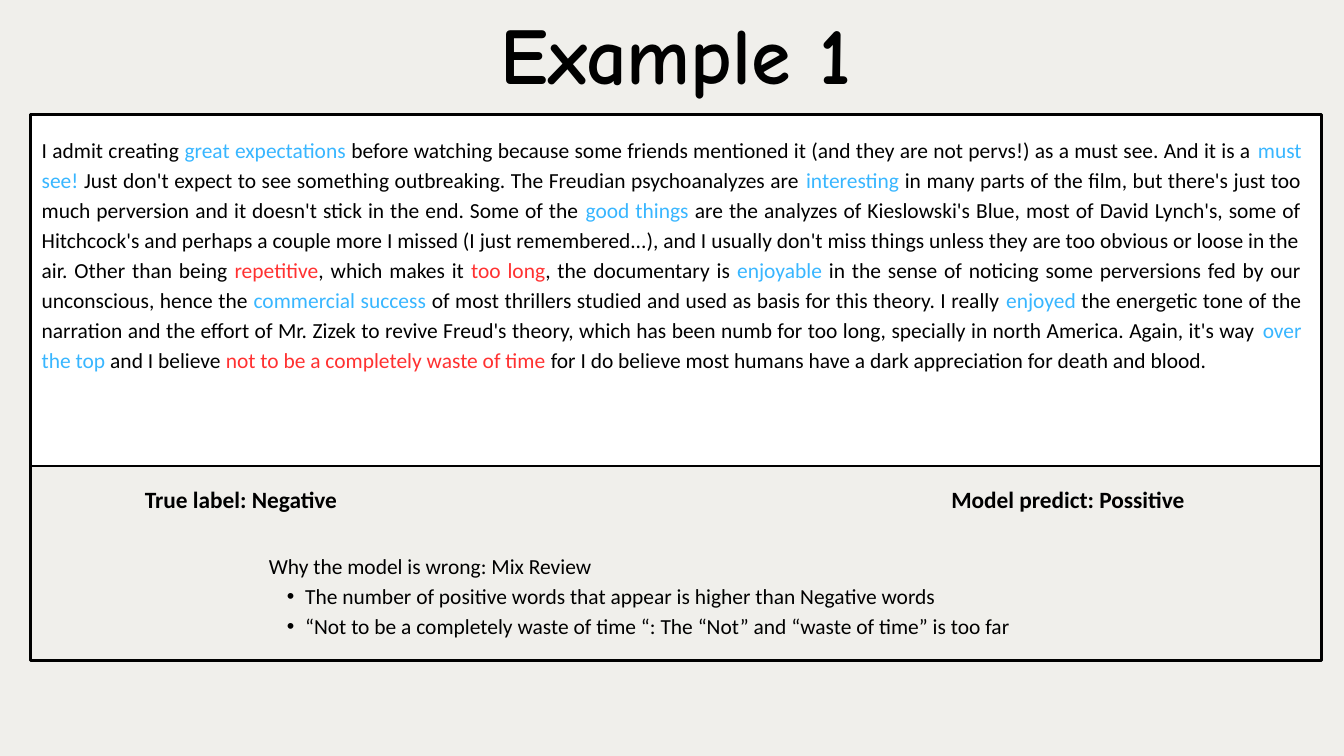
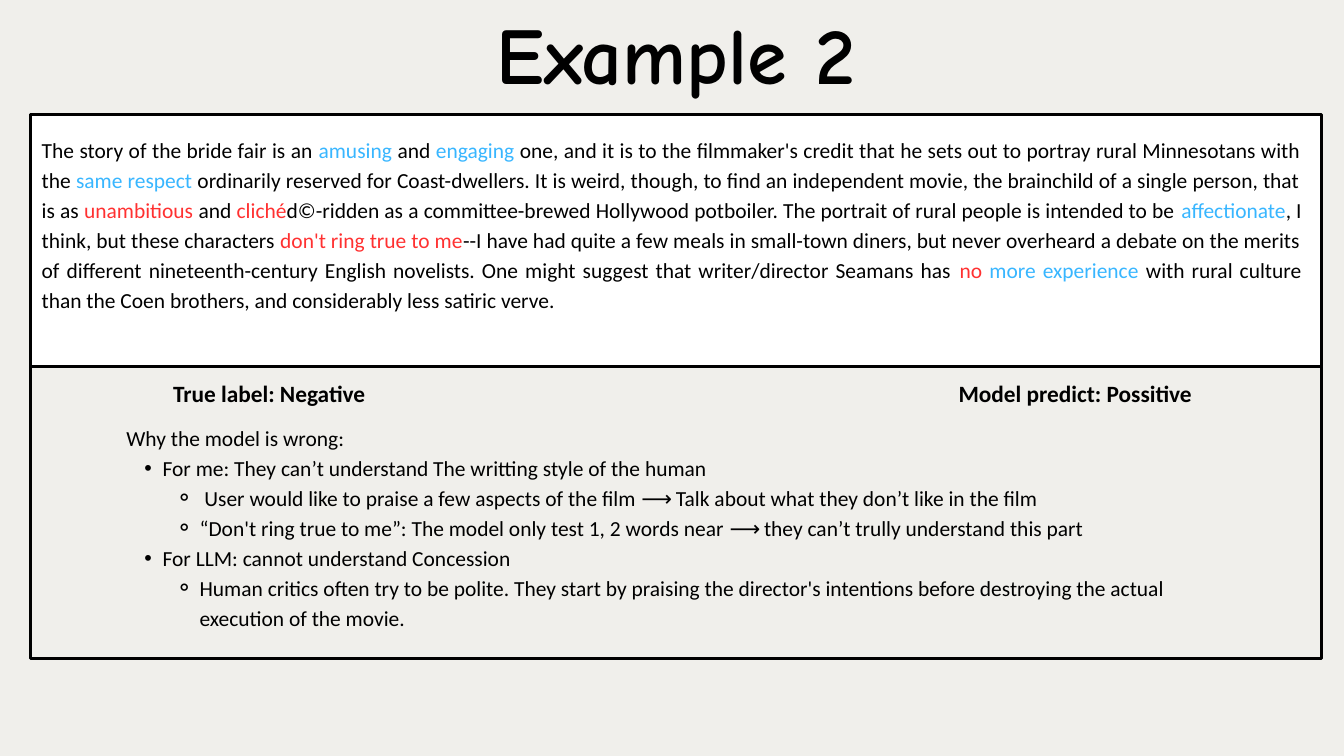
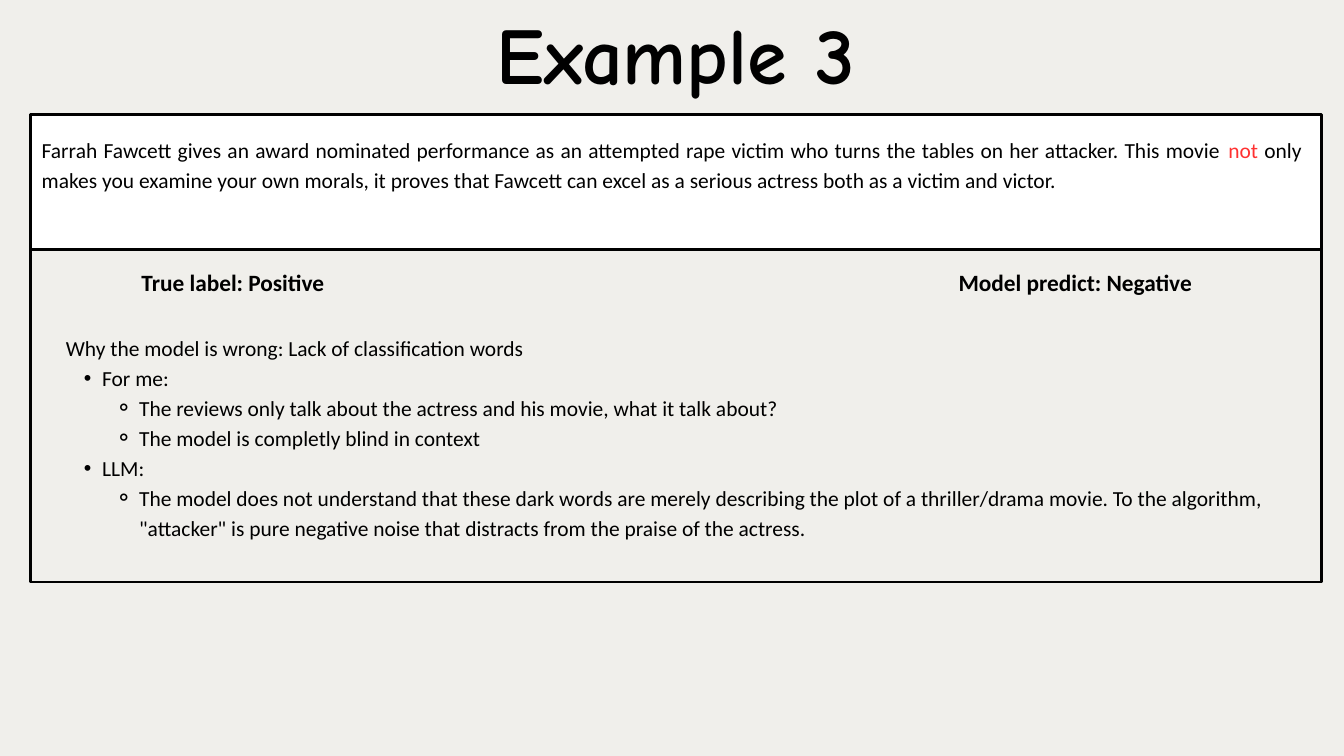
from lxml.etree import SubElement
from pptx import Presentation
from pptx.dml.color import RGBColor
from pptx.enum.shapes import MSO_SHAPE
from pptx.enum.text import PP_ALIGN
from pptx.oxml.ns import qn
from pptx.util import Inches, Pt

COLORS = {
    "background": "F0EFEB",
    "panel": "FFFFFF",
    "ink": "000000",
    "praise": "38B6FF",
    "criticism": "FF3131",
}
# A part of a text that starts with a mark takes the colour of the mark.
MARKS = {"*": "praise", "~": "criticism"}
# Bullet level: character, left margin and hanging indent in inches
BULLETS = {1: ("•", 0.54, -0.27), 2: ("⚬", 1.09, -0.36)}

# The slide is a grid of 80 columns and 45 rows; all places are in cells.
CELL = Inches(0.25)
COLUMNS, ROWS = 80, 45
FRAME_LEFT, FRAME_TOP, FRAME_WIDTH = 1.8, 6.8, 76.88
LABEL_WIDTH = 18

examples = [
    {
        "review": [
            "I admit creating ", "*great expectations ",
            "before watching because some friends mentioned it (and they are not pervs!) as a must "
            "see. And it is a ", "*must see!",
            " Just don't expect to see something outbreaking. The Freudian psychoanalyzes are ",
            "*interesting",
            " in many parts of the film, but there's just too much perversion and it doesn't stick "
            "in the end. Some of the ", "*good things",
            " are the analyzes of Kieslowski's Blue, most of David Lynch's, some of Hitchcock's and "
            "perhaps a couple more I missed (I just remembered...), and I usually don't miss things "
            "unless they are too obvious or loose in the air. Other than being ", "~repetitive",
            ", which makes it ", "~too long", ", the documentary is ", "*enjoyable",
            " in the sense of noticing some perversions fed by our unconscious, hence the ",
            "*commercial success",
            " of most thrillers studied and used as basis for this theory. I really ", "*enjoyed ",
            "the energetic tone of the narration and the effort of Mr. Zizek to revive Freud's "
            "theory, which has been numb for too long, specially in north America. Again, it's way ",
            "*over the top", " and I believe ", "~not to be a completely waste of time",
            " for I do believe most humans have a dark appreciation for death and blood.",
        ],
        "divider": 27.74, "bottom": 39.3, "label_top": 28.6,
        "labels": [("True label: Negative", 14.34), ("Model predict: Possitive", 63.56)],
        "reason_place": (16, 32.64, 56.44, 6),
        "reasons": [
            (0, ["Why the model is wrong: Mix Review"]),
            (1, ["The number of positive words that appear is higher than Negative words"]),
            (1, ["“Not to be a completely waste of time “: The “Not” and “waste of time” is too far"]),
        ],
    },
    {
        "review": [
            "The story of the bride fair is an ", "*amusing ", "and ", "*engaging ",
            "one, and it is to the filmmaker's credit that he sets out to portray rural Minnesotans "
            "with the ", "*same respect ",
            "ordinarily reserved for Coast-dwellers. It is weird, though, to find an independent "
            "movie, the brainchild of a single person, that is as ", "~unambitious ", "and ",
            "~cliché",
            "d©-ridden as a committee-brewed Hollywood potboiler. The portrait of rural people is "
            "intended to be ", "*affectionate", ", I think, but these characters ",
            "~don't ring true to me",
            "--I have had quite a few meals in small-town diners, but never overheard a debate on "
            "the merits of different nineteenth-century English novelists. One might suggest that "
            "writer/director Seamans has ", "~no ", "*more experience ",
            "with rural culture than the Coen brothers, and considerably less satiric verve.",
        ],
        "divider": 21.84, "bottom": 39.2, "label_top": 22.32,
        "labels": [("True label: Negative", 16.02), ("Model predict: Possitive", 64)],
        "reason_place": (7.52, 25.04, 65.48, 12.2),
        "reasons": [
            (0, ["Why the model is wrong:"]),
            (1, ["For me: They can’t understand The writting style of the human"]),
            (2, [" User would like to praise a few aspects of the film ⟶ Talk about what they don’t "
                 "like in the film"]),
            (2, ["“Don't ring true to me”: The model only test 1, 2 words near ⟶ they can’t trully "
                 "understand this part"]),
            (1, ["For LLM: cannot understand Concession"]),
            (2, ["Human critics often try to be polite. They start by praising the director's "
                 "intentions before destroying the actual execution of the movie."]),
        ],
    },
    {
        "review": [
            "Farrah Fawcett gives an award nominated performance as an attempted rape victim who "
            "turns the tables on her attacker. This movie ", "~not ",
            "only makes you examine your own morals, it proves that Fawcett can excel as a serious "
            "actress both as a victim and victor.",
        ],
        "divider": 14.84, "bottom": 34.64, "label_top": 15.68,
        "labels": [("True label: Positive", 13.86), ("Model predict: Negative", 64)],
        "reason_place": (3.92, 19.68, 72.16, 12.6),
        "reasons": [
            (0, ["Why the model is wrong: Lack of classification words"]),
            (1, ["For me:"]),
            (2, ["The reviews only talk about the actress and his movie, what it talk about?"]),
            (2, ["The model is completly blind in context"]),
            (1, ["LLM:"]),
            (2, ["The model does not understand that these dark words are merely describing the plot "
                 "of a thriller/drama movie. To the algorithm, \"attacker\" is pure negative noise "
                 "that distracts from the praise of the actress."]),
        ],
    },
]


def cells(*counts):
    return [int(count * CELL) for count in counts]


def add_text(slide, paragraphs, place, size=23, font="Calibri", bold=False, align=PP_ALIGN.LEFT):
    """Add a text box of (bullet level, text parts) paragraphs with 1.4 line spacing."""
    frame = slide.shapes.add_textbox(*cells(*place)).text_frame
    frame.word_wrap = True
    frame.margin_left = frame.margin_right = frame.margin_top = frame.margin_bottom = 0
    for index, (level, parts) in enumerate(paragraphs):
        paragraph = frame.add_paragraph() if index else frame.paragraphs[0]
        paragraph.alignment = align
        paragraph.level = level
        paragraph.line_spacing = Pt(round(size * 1.4, 1))
        if level in BULLETS:
            character, margin, indent = BULLETS[level]
            properties = paragraph._p.get_or_add_pPr()
            properties.set("marL", str(Inches(margin)))
            properties.set("indent", str(Inches(indent)))
            SubElement(properties, qn("a:buFont"), typeface="Arial")
            SubElement(properties, qn("a:buChar"), char=character)
        for part in parts:
            tone = MARKS.get(part[0], "ink")
            run = paragraph.add_run()
            run.text = part if tone == "ink" else part[1:]
            run.font.name = font
            run.font.size = Pt(size)
            run.font.bold = bold
            run.font.color.rgb = RGBColor.from_string(COLORS[tone])


deck = Presentation()
deck.slide_width, deck.slide_height = cells(COLUMNS, ROWS)

for number, example in enumerate(examples, start=1):
    slide = deck.slides.add_slide(deck.slide_layouts[6])
    slide.background.fill.solid()
    slide.background.fill.fore_color.rgb = RGBColor.from_string(COLORS["background"])

    divider = example["divider"]
    for top, bottom, fill in [(divider, example["bottom"], None), (FRAME_TOP, divider, "panel")]:
        panel = slide.shapes.add_shape(
            MSO_SHAPE.RECTANGLE, *cells(FRAME_LEFT, top, FRAME_WIDTH, bottom - top))
        panel.shadow.inherit = False
        panel.line.color.rgb = RGBColor.from_string(COLORS["ink"])
        panel.line.width = Pt(3)
        if fill:
            panel.fill.solid()
            panel.fill.fore_color.rgb = RGBColor.from_string(COLORS[fill])
        else:
            panel.fill.background()

    add_text(slide, [(0, example["review"])], (2.48, 7.88, 75, divider - 7.88),
             align=PP_ALIGN.JUSTIFY)
    for label, center in example["labels"]:
        add_text(slide, [(0, [label])],
                 (center - LABEL_WIDTH / 2, example["label_top"], LABEL_WIDTH, 1.88),
                 size=25, bold=True, align=PP_ALIGN.CENTER)
    add_text(slide, [(0, [f"Example {number}"])], (26.92, -0.72, 26.64, 6.4),
             size=86, font="Comic Neue", bold=True, align=PP_ALIGN.CENTER)
    add_text(slide, example["reasons"], example["reason_place"])

deck.save("out.pptx")
